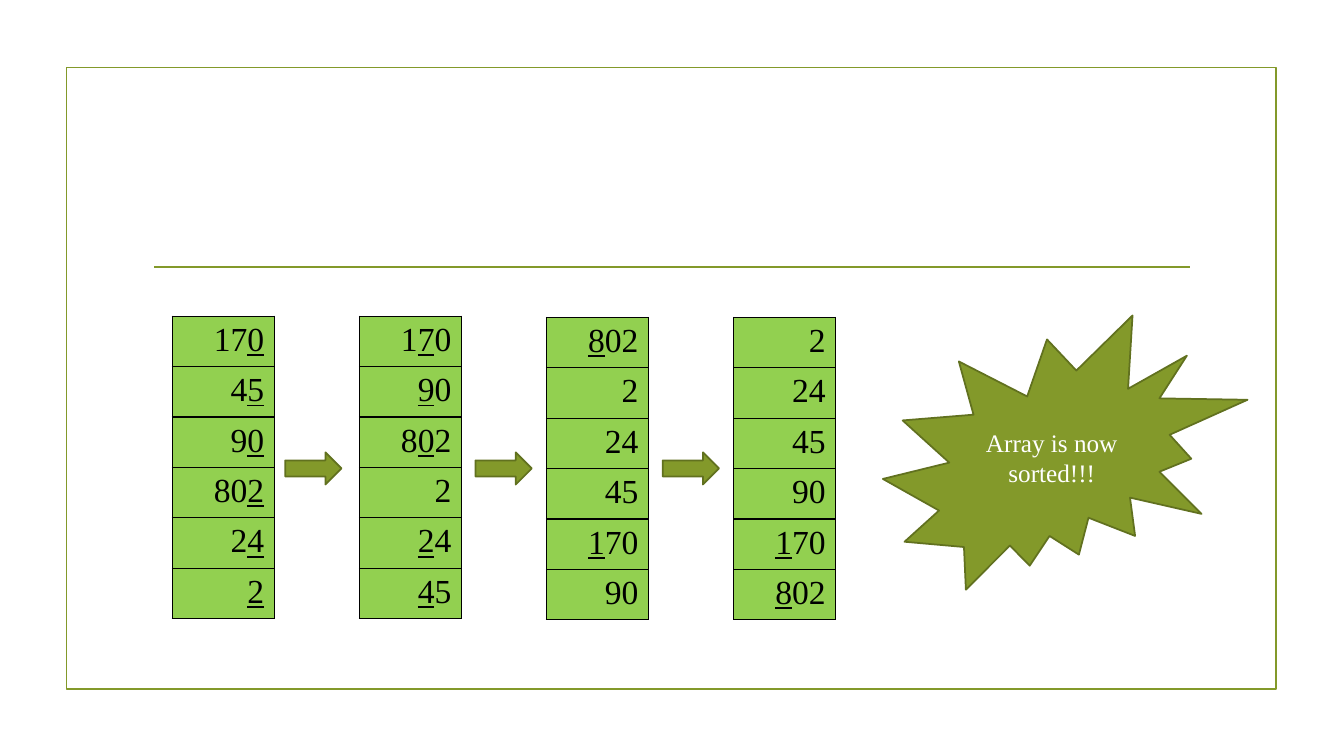
import dataclasses

import pptx
import pptx.dml.color
import pptx.enum.shapes
import pptx.enum.text
import pptx.oxml
import pptx.oxml.ns
import pptx.util

Cm = pptx.util.Cm
Pt = pptx.util.Pt
RGB = pptx.dml.color.RGBColor
SHAPE = pptx.enum.shapes.MSO_SHAPE
ALIGN = pptx.enum.text.PP_ALIGN


@dataclasses.dataclass(frozen=True)
class Theme:
    """Colours, font and sizes of the slide."""
    accent: str = "83992A"
    outline: str = "61711F"
    cell: str = "92D050"
    dark: str = "000000"
    light: str = "FFFFFF"
    font: str = "Times New Roman"
    cell_size: int = 24
    note_size: int = 18
    line: float = 1.25
    border: float = 1


THEME = Theme()
PASSES = [
    (["170", "45", "90", "802", "24", "2"], 1),
    (["170", "90", "802", "2", "24", "45"], 2),
    (["802", "2", "24", "45", "170", "90"], 3),
    (["2", "24", "45", "90", "170", "802"], 3),
]


def style_run(r, size, color):
    """Apply the theme font with a size and colour."""
    r.font.name = THEME.font
    r.font.size = Pt(size)
    r.font.color.rgb = RGB.from_string(color)


def add_shape(slide, kind, box, fill, line):
    """Add a flat preset shape; a fill of None leaves it hollow."""
    sp = slide.shapes.add_shape(kind, *map(Cm, box))
    sp.shadow.inherit = False
    if fill:
        sp.fill.solid()
        sp.fill.fore_color.rgb = RGB.from_string(fill)
    else:
        sp.fill.background()
    sp.line.color.rgb = RGB.from_string(line)
    sp.line.width = Pt(THEME.line)
    return sp


def add_frame(slide, box):
    """Draw the border and the rule under the title area."""
    x, y, w, h = box
    add_shape(slide, SHAPE.RECTANGLE, box, None, THEME.accent)
    rule_y = Cm(y + 5.03)
    rule = slide.shapes.add_connector(
        pptx.enum.shapes.MSO_CONNECTOR.STRAIGHT,
        Cm(x + 2.21), rule_y, Cm(x + w - 2.16), rule_y)
    rule.line.color.rgb = RGB.from_string(THEME.accent)
    rule.line.width = Pt(THEME.line)
    rule._element.spPr.append(pptx.oxml.parse_xml(
        f'<a:effectLst {pptx.oxml.ns.nsdecls("a")}/>'))


def border_cell(cell):
    """Give a cell a solid border on all four sides."""
    tcPr = cell._tc.get_or_add_tcPr()
    for i, side in enumerate("LRTB"):
        tcPr.insert(i, pptx.oxml.parse_xml(
            f'<a:ln{side} {pptx.oxml.ns.nsdecls("a")} w="{Pt(THEME.border)}">'
            f'<a:solidFill><a:srgbClr val="{THEME.dark}"/></a:solidFill>'
            f'</a:ln{side}>'))


def add_array(slide, box, numbers, place):
    """Add one array column, underlining the digit at a place from the right."""
    x, y, w, h = box
    table = slide.shapes.add_table(len(numbers), 1, *map(Cm, box)).table
    table.first_row = False
    table.horz_banding = False
    for i, number in enumerate(numbers):
        table.rows[i].height = Cm(h / len(numbers))
        cell = table.cell(i, 0)
        cell.fill.solid()
        cell.fill.fore_color.rgb = RGB.from_string(THEME.cell)
        border_cell(cell)
        p = cell.text_frame.paragraphs[0]
        p.alignment = ALIGN.RIGHT
        k = len(number) - place
        if k < 0:
            parts = [(number, False)]
        else:
            parts = [(number[:k], False), (number[k], True), (number[k + 1:], False)]
        for text, marked in parts:
            if text:
                r = p.add_run()
                r.text = text
                style_run(r, THEME.cell_size, THEME.dark)
                if marked:
                    r.font.underline = True


def add_passes(slide, box):
    """Lay out the arrays of each pass with arrows in the gaps."""
    x, y, w, h = box
    column = 2.57
    pitch = (w - column) / (len(PASSES) - 1)
    for i, (numbers, place) in enumerate(PASSES):
        left = x + i * pitch
        add_array(slide, (left, y + (0.03 if i > 1 else 0), column, h), numbers, place)
        if i:
            gap = 1.87 if i == 1 else 1.79
            add_shape(slide, SHAPE.RIGHT_ARROW, (left - gap, y + 3.43, 1.42, 0.81),
                      THEME.accent, THEME.outline)


def add_burst(slide, box, text):
    """Add the closing remark in a burst."""
    sp = add_shape(slide, SHAPE.EXPLOSION2, box, THEME.accent, THEME.outline)
    tf = sp.text_frame
    tf.text = text
    tf.word_wrap = True
    tf.vertical_anchor = pptx.enum.text.MSO_ANCHOR.MIDDLE
    p = tf.paragraphs[0]
    p.alignment = ALIGN.CENTER
    style_run(p.runs[0], THEME.note_size, THEME.light)


def main():
    """Build the slide and save it."""
    prs = pptx.Presentation()
    prs.slide_width = Cm(33.87)
    prs.slide_height = Cm(19.05)
    slide = prs.slides.add_slide(prs.slide_layouts[6])
    add_frame(slide, (1.68, 1.7, 30.48, 15.67))
    add_passes(slide, (4.34, 7.97, 16.72, 7.62))
    add_burst(slide, (22.25, 7.95, 9.19, 6.91), "Array is now sorted!!!")
    prs.save("out.pptx")


if __name__ == "__main__":
    main()
